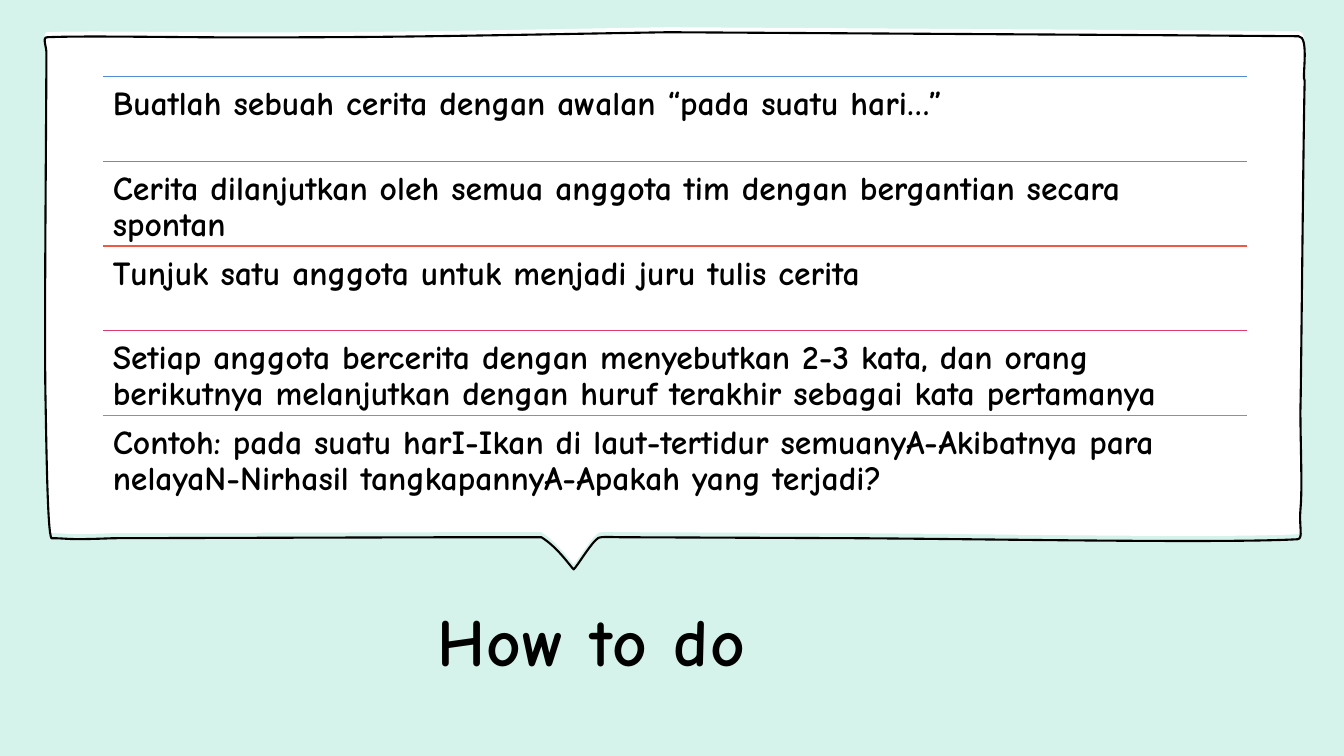
from dataclasses import dataclass

from lxml import etree
from pptx import Presentation
from pptx.dml.color import RGBColor
from pptx.enum.shapes import MSO_CONNECTOR, MSO_SHAPE
from pptx.enum.text import MSO_ANCHOR, PP_ALIGN
from pptx.oxml.ns import qn
from pptx.util import Inches, Pt

RECTANGLE = MSO_SHAPE.RECTANGLE
STRAIGHT = MSO_CONNECTOR.STRAIGHT
TOP, MIDDLE = MSO_ANCHOR.TOP, MSO_ANCHOR.MIDDLE
LEFT, CENTER = PP_ALIGN.LEFT, PP_ALIGN.CENTER

# Content
TITLE = "How to do"
STEPS = [
    ("528BD6", "Buatlah sebuah cerita dengan awalan “pada suatu hari…”"),
    ("31A7C7", "Cerita dilanjutkan oleh semua anggota tim dengan bergantian secara spontan"),
    ("F15843", "Tunjuk satu anggota untuk menjadi juru tulis cerita"),
    ("DE3A6D", "Setiap anggota bercerita dengan menyebutkan 2-3 kata, dan orang "
               "berikutnya melanjutkan dengan huruf terakhir sebagai kata pertamanya"),
    ("7AAE3C", "Contoh: pada suatu harI-Ikan di laut-tertidur semuanyA-Akibatnya para "
               "nelayaN-Nirhasil tangkapannyA-Apakah yang terjadi?"),
]

# Speech bubble in inches: a pair is a straight side, six numbers a Bezier curve
BUBBLE_START = (11.6, 0.3)
BUBBLE_SIDES = [
    (12.88, 0.31),
    (12.99, 0.31, 12.91, 0.74, 12.94, 0.75),
    (12.93, 1.06, 12.91, 3.21, 12.9, 3.92),
    (12.89, 4.15, 12.92, 4.75, 12.9, 4.98),
    (12.88, 5.18, 12.93, 5.29, 12.87, 5.3),
    (12.13, 5.34, 9.97, 5.3, 8.5, 5.29),
    (6.15, 5.28),
    (6.1, 5.28, 5.95, 5.27, 5.93, 5.29),
    (5.86, 5.34, 5.73, 5.56, 5.69, 5.6),
    (5.65, 5.56, 5.53, 5.38, 5.37, 5.28),
    (5.29, 5.28, 4.93, 5.28, 4.6, 5.28),
    (1.12, 5.29),
    (0.63, 5.31, 0.69, 5.29, 0.51, 5.29),
    (0.47, 5.23, 0.46, 4.34, 0.45, 3.83),
    (0.44, 3.03, 0.46, 1.08, 0.46, 0.5),
    (0.47, 0.42, 0.41, 0.32, 0.47, 0.32),
    (0.91, 0.3, 2.03, 0.33, 3.05, 0.32),
    (4.08, 0.32, 5.43, 0.29, 6.63, 0.27),
    BUBBLE_START,
]
OUTLINE_DROP = 0.05

# Layout in inches
SLIDE_WIDTH, SLIDE_HEIGHT = 13.33, 7.5
LIST_LEFT, LIST_TOP, LIST_WIDTH, ROW_HEIGHT = 1.02, 0.76, 11.35, 0.84
TITLE_BOX = (0.52, 5.78, 10.69, 1.13)


@dataclass(frozen=True)
class Theme:
    font: str = "Comic Neue"
    background: str = "D5F2EB"
    paper: str = "FFFFFF"
    ink: str = "000000"
    title_size: int = 48
    step_size: int = 24
    outline_width: float = 1.5
    rule_width: float = 1


THEME = Theme()


def color(code):
    return RGBColor.from_string(code)


def add_bubble(shapes, drop):
    """Draw the bubble drop inches lower, bending its sides into curves."""
    def place(point):
        return Inches(point[0]), Inches(point[1] + drop)

    builder = shapes.build_freeform(*place(BUBBLE_START), scale=1.0)
    builder.add_line_segments([place(side[-2:]) for side in BUBBLE_SIDES], close=True)
    bubble = builder.convert_to_shape()
    bubble.shadow.inherit = False

    segments = list(bubble._element.iter(qn("a:lnTo")))
    for segment, side in zip(segments, BUBBLE_SIDES):
        if len(side) == 2:
            continue
        curve = etree.Element(qn("a:cubicBezTo"))
        for first in (0, 2, 4):
            x, y = place(side[first:first + 2])
            etree.SubElement(curve, qn("a:pt"),
                             x=str(x - bubble.left), y=str(y - bubble.top))
        segment.getparent().replace(segment, curve)
    return bubble


def add_rule(shapes, y, line_color):
    rule = shapes.add_connector(STRAIGHT, Inches(LIST_LEFT), Inches(y),
                                Inches(LIST_LEFT + LIST_WIDTH), Inches(y))
    rule.line.color.rgb = color(line_color)
    rule.line.width = Pt(THEME.rule_width)
    etree.SubElement(rule._element.spPr, qn("a:effectLst"))


def add_text(shapes, box, text, size, anchor, alignment, line_spacing):
    text_box = shapes.add_textbox(*(Inches(length) for length in box))
    frame = text_box.text_frame
    frame.word_wrap = True
    frame.vertical_anchor = anchor
    frame.margin_left = frame.margin_right = Inches(0.1)
    frame.margin_top = frame.margin_bottom = Inches(0.1)
    paragraph = frame.paragraphs[0]
    paragraph.text = text
    paragraph.alignment = alignment
    paragraph.line_spacing = line_spacing
    font = paragraph.font
    font.name, font.size, font.bold = THEME.font, Pt(size), True
    font.color.rgb = color(THEME.ink)
    return paragraph


def main():
    presentation = Presentation()
    presentation.slide_width = Inches(SLIDE_WIDTH)
    presentation.slide_height = Inches(SLIDE_HEIGHT)
    slide = presentation.slides.add_slide(presentation.slide_layouts[6])
    shapes = slide.shapes

    # Background
    slide.background.fill.solid()
    slide.background.fill.fore_color.rgb = color(THEME.background)
    backdrop = shapes.add_shape(RECTANGLE, 0, 0, presentation.slide_width,
                                presentation.slide_height)
    backdrop.shadow.inherit = False
    backdrop.fill.solid()
    backdrop.fill.fore_color.rgb = color(THEME.background)
    backdrop.line.fill.background()

    # Title, with slightly spread letters
    title = add_text(shapes, TITLE_BOX, TITLE, THEME.title_size, MIDDLE, CENTER, 1.0)
    title._p.get_or_add_pPr().find(qn("a:defRPr")).set("spc", "100")

    # Speech bubble: white paper under a loose ink outline
    paper = add_bubble(shapes, 0)
    paper.fill.solid()
    paper.fill.fore_color.rgb = color(THEME.paper)
    paper.line.fill.background()
    outline = add_bubble(shapes, OUTLINE_DROP)
    outline.fill.background()
    outline.line.color.rgb = color(THEME.ink)
    outline.line.width = Pt(THEME.outline_width)

    # Steps, each under its own coloured rule
    step_shapes = shapes.add_group_shape().shapes
    for row, (rule_color, text) in enumerate(STEPS):
        top = LIST_TOP + row * ROW_HEIGHT
        add_rule(step_shapes, top, rule_color)
        add_text(step_shapes, (LIST_LEFT, top, LIST_WIDTH, ROW_HEIGHT), text,
                 THEME.step_size, TOP, LEFT, 0.9)

    presentation.save("out.pptx")


if __name__ == "__main__":
    main()
